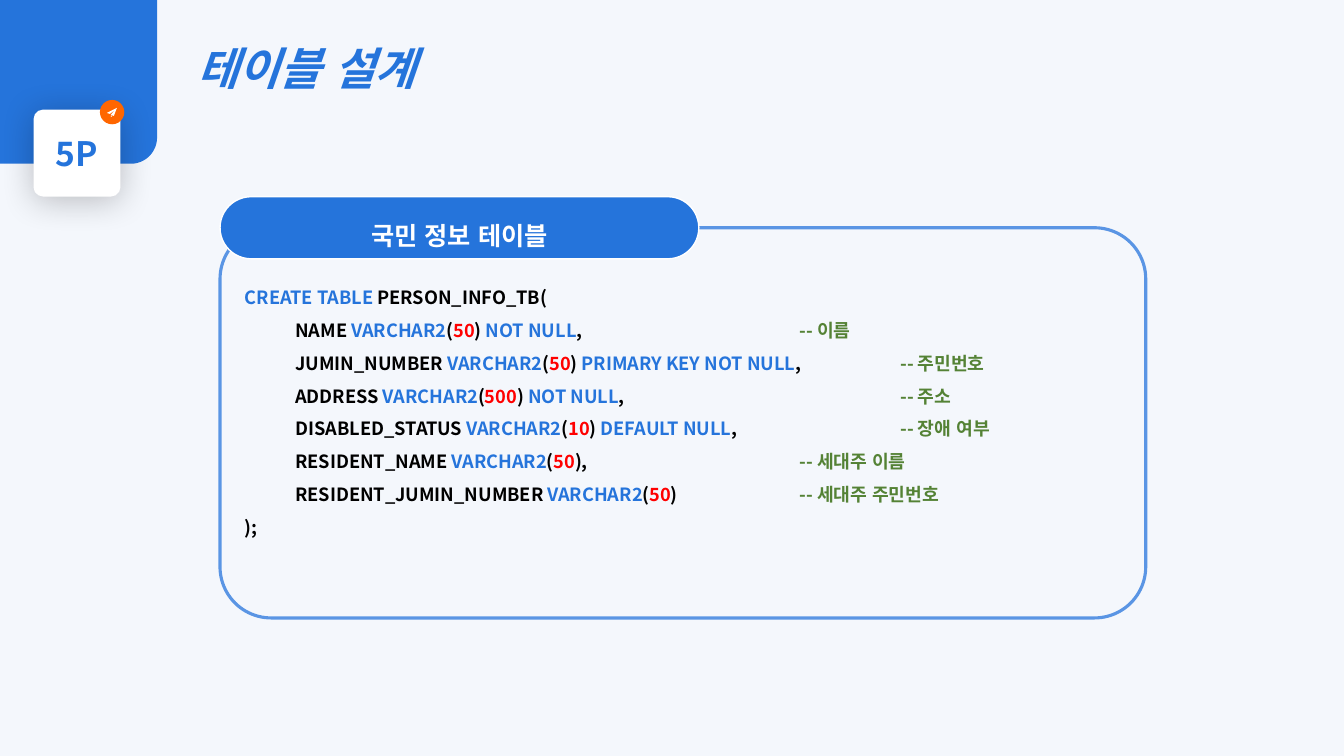
import pptx
import pptx.util
import pptx.dml.color
import pptx.enum.lang
import pptx.enum.shapes
import pptx.enum.text
import pptx.oxml
import pptx.oxml.ns

FONT = "Noto Sans CJK KR"
BLUE, WHITE, BLACK, RED, GREEN = "2574DB", "FFFFFF", "000000", "FF0000", "548235"
COLS, ROWS = 160, 90
WIDTH, HEIGHT = pptx.util.Inches(13.33), pptx.util.Inches(7.5)
SHAPE = pptx.enum.shapes.MSO_SHAPE
ALIGN = pptx.enum.text.PP_ALIGN

FIELDS = [
    ("NAME ", "50", ") ", "NOT NULL", ",\t\t\t", "이름"),
    ("JUMIN_NUMBER ", "50", ") ", "PRIMARY KEY NOT NULL", ",\t", "주민번호"),
    ("ADDRESS ", "500", ") ", "NOT NULL", ", \t\t\t", "주소"),
    ("DISABLED_STATUS ", "10", ") ", "DEFAULT NULL", ",\t\t", "장애 여부"),
    ("RESIDENT_NAME ", "50", ")", "", ", \t\t\t", "세대주 이름"),
    ("RESIDENT_JUMIN_NUMBER ", "50", ")", "", "\t\t", "세대주 주민번호"),
]


def rgb(color):
    return pptx.dml.color.RGBColor.from_string(color)


def col(n):
    return round(WIDTH * n / COLS)


def row(n):
    return round(HEIGHT * n / ROWS)


def paint(s, fill=None, line=None, width=1):
    s.shadow.inherit = False
    if fill:
        s.fill.solid()
        s.fill.fore_color.rgb = rgb(fill)
    else:
        s.fill.background()
    if line:
        s.line.color.rgb = rgb(line)
        s.line.width = pptx.util.Pt(width)
    else:
        s.line.fill.background()


def add_block(sl, kind, x, y, w, h, fill=None, line=None, width=1, adj=None):
    s = sl.shapes.add_shape(kind, col(x), row(y), col(w), row(h))
    paint(s, fill, line, width)
    if adj is not None:
        s.adjustments[0] = adj
    return s


def add_polygon(sl, points, fill):
    corners = [(col(x), row(y)) for x, y in points]
    fb = sl.shapes.build_freeform(*corners[0])
    fb.add_line_segments(corners[1:], close=True)
    paint(fb.convert_to_shape(), fill)


def add_glow(s):
    effects = s.element.spPr.find(pptx.oxml.ns.qn("a:effectLst"))
    effects.append(pptx.oxml.parse_xml(
        f'<a:outerShdw {pptx.oxml.ns.nsdecls("a")} blurRad="{pptx.util.Pt(25)}" '
        f'dist="{pptx.util.Pt(3)}" dir="5400000" algn="t" rotWithShape="0">'
        '<a:srgbClr val="000000"><a:alpha val="24000"/></a:srgbClr></a:outerShdw>'))


def style_run(r, size, color, italic=False):
    r.font.name = FONT
    r.font.size = pptx.util.Pt(size)
    r.font.bold = True
    r.font.italic = italic
    r.font.color.rgb = rgb(color)
    r.font.language_id = pptx.enum.lang.MSO_LANGUAGE_ID.KOREAN
    r.font._element.set("kern", "0")
    ea = pptx.oxml.parse_xml(
        f'<a:ea {pptx.oxml.ns.nsdecls("a")} typeface="{FONT}"/>')
    r.font._element.find(pptx.oxml.ns.qn("a:latin")).addnext(ea)


def write_label(s, text, size, color, align=ALIGN.CENTER, spacing=1.5, italic=False):
    tf = s.text_frame
    tf.text = text
    p = tf.paragraphs[0]
    p.alignment = align
    p.line_spacing = spacing
    style_run(p.runs[0], size, color, italic)
    return tf


def field_runs(name, length, close, rule, tail, note):
    runs = [(name, BLACK), ("VARCHAR2", BLUE), ("(", BLACK), (length, RED),
            (close, BLACK), (rule, BLUE), (tail, BLACK), (f"-- {note}", GREEN)]
    return [run for run in runs if run[0]]


def write_code(s, lines):
    tf = s.text_frame
    tf.word_wrap = True
    tf.vertical_anchor = pptx.enum.text.MSO_ANCHOR.MIDDLE
    tf.margin_bottom = row(4.4)
    for i, (level, runs) in enumerate(lines):
        p = tf.add_paragraph() if i else tf.paragraphs[0]
        p.alignment = ALIGN.LEFT
        p.line_spacing = 1.5
        p.level = level
        pPr = p._p.get_or_add_pPr()
        pPr.set("marL", str(level * col(6)))
        pPr.set("indent", "0")
        pPr.set("defTabSz", str(pptx.util.Inches(1)))
        for text, color in runs:
            r = p.add_run()
            r.text = text
            style_run(r, 13, color)


def add_badge(sl):
    corner = add_block(sl, SHAPE.ROUND_1_RECTANGLE, 0, 0, 18.7, 19.5, BLUE)
    corner.element.spPr.find(pptx.oxml.ns.qn("a:xfrm")).set("flipV", "1")
    card = add_block(sl, SHAPE.ROUNDED_RECTANGLE, 4, 13.05, 10.35, 10.35, WHITE, adj=0.11)
    add_glow(card)
    tf = write_label(card, "5P", 24, BLUE, spacing=1)
    tf.word_wrap = False
    add_block(sl, SHAPE.OVAL, 11.9, 11.9, 2.9, 2.9, "FF6600")
    add_polygon(sl, [(13.92, 12.84), (13.56, 13.8), (13.2, 13.68), (13.68, 13.08),
                     (13.08, 13.56), (12.72, 13.44)], WHITE)
    add_polygon(sl, [(13.2, 13.75), (13.4, 13.8), (13.2, 13.95)], WHITE)


def add_title(sl, text):
    s = sl.shapes.add_textbox(col(22.3), row(1.1), col(80), row(9.6))
    tf = write_label(s, text, 32, BLUE, ALIGN.LEFT, italic=True)
    tf.word_wrap = True
    tf.auto_size = pptx.enum.text.MSO_AUTO_SIZE.SHAPE_TO_FIT_TEXT


def main():
    prs = pptx.Presentation()
    prs.slide_width, prs.slide_height = WIDTH, HEIGHT
    sl = prs.slides.add_slide(prs.slide_layouts[6])
    sl.background.fill.solid()
    sl.background.fill.fore_color.rgb = rgb("F4F7FC")
    add_badge(sl)
    add_title(sl, "테이블 설계")
    panel = add_block(sl, SHAPE.ROUNDED_RECTANGLE, 26.2, 27.12, 110.2, 46.45,
                      line="5A95E4", width=2.25, adj=0.131)
    opening = (0, [("CREATE TABLE", BLUE), (" PERSON_INFO_TB(", BLACK)])
    fields = [(1, field_runs(*field)) for field in FIELDS]
    write_code(panel, [opening, *fields, (0, [(");", BLACK)])])
    pill = add_block(sl, SHAPE.ROUNDED_RECTANGLE, 26.2, 23.42, 57, 7.4,
                     BLUE, WHITE, adj=0.5)
    write_label(pill, "국민 정보 테이블", 18, WHITE)
    prs.save("out.pptx")


if __name__ == "__main__":
    main()
